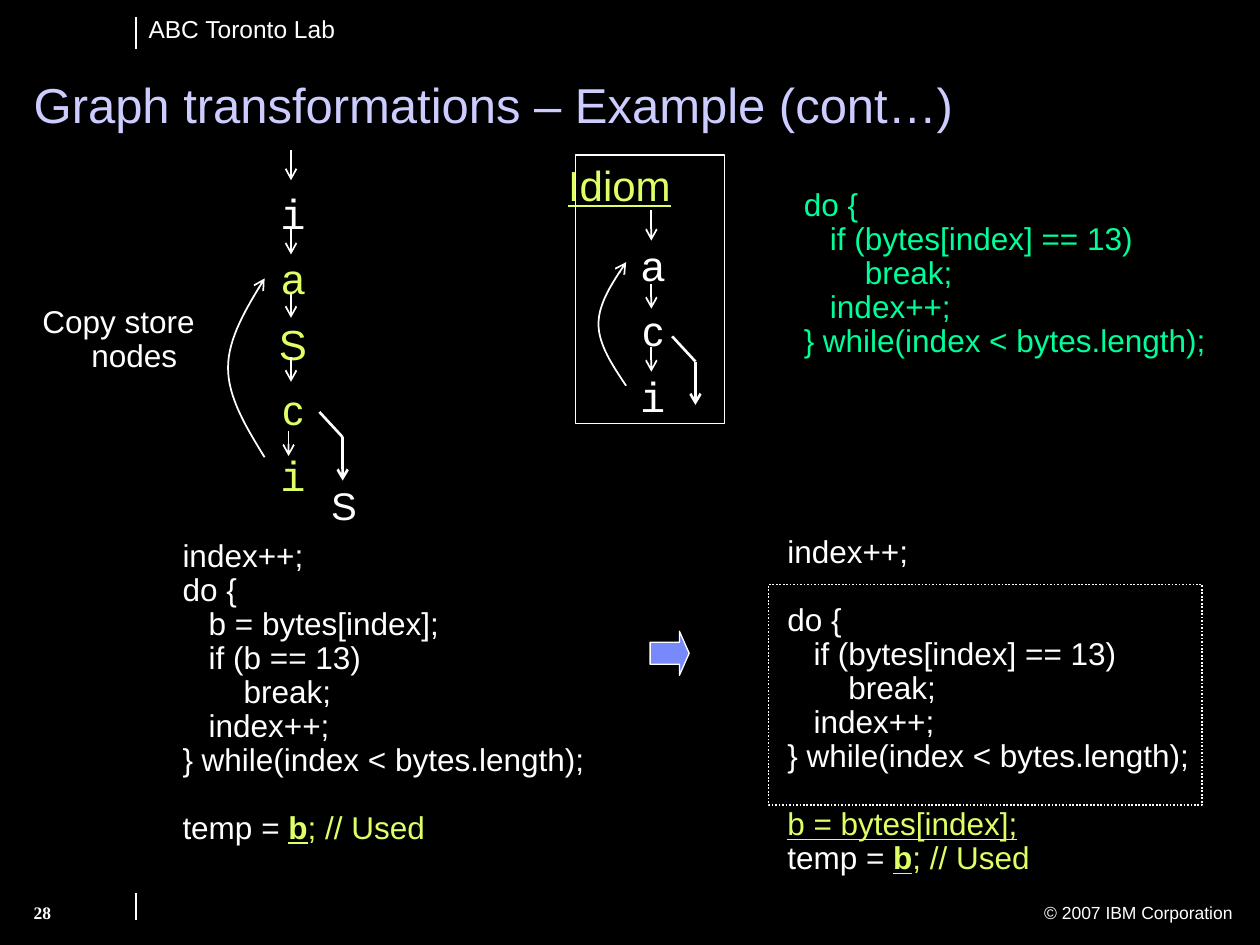
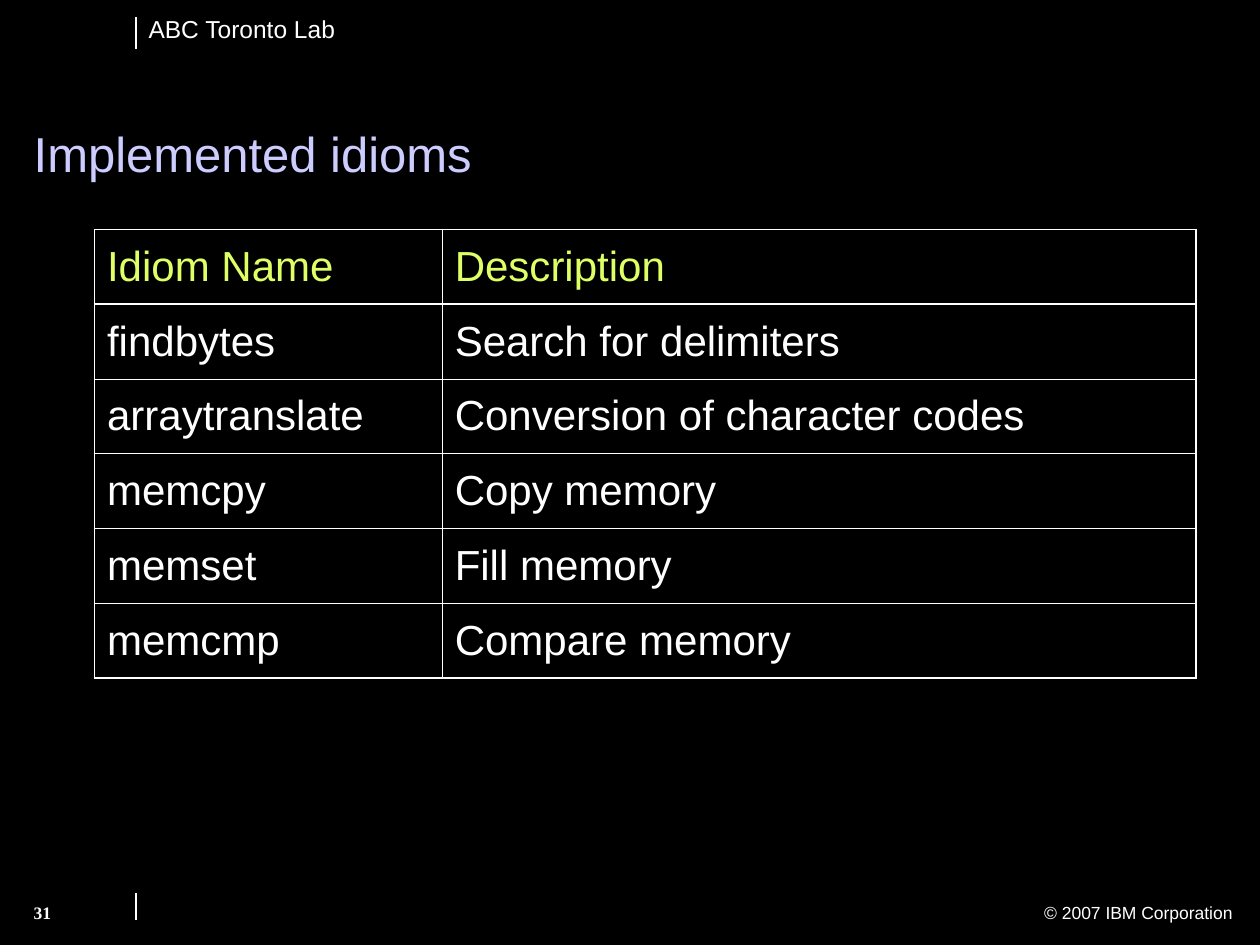
from pptx import Presentation as Deck
from pptx.dml.color import RGBColor as RGB
from pptx.enum.dml import MSO_LINE as Dash
from pptx.enum.shapes import MSO_CONNECTOR as Link, MSO_SHAPE as Form
from pptx.enum.text import MSO_ANCHOR as Anchor, PP_ALIGN as Align
from pptx.oxml import parse_xml as xml
from pptx.oxml.ns import nsdecls as ns
from pptx.util import Pt

BLACK = RGB(0x00, 0x00, 0x00)
WHITE = RGB(0xFF, 0xFF, 0xFF)
LILAC = RGB(0xCC, 0xCC, 0xFF)
LIME = RGB(0xDF, 0xFF, 0x66)
GREEN = RGB(0x00, 0xFF, 0x99)
BLUE = RGB(0x78, 0x89, 0xFB)

# Text formats
BASE = dict(name="Arial", size=Pt(18), color=WHITE)
HEAD = dict(size=Pt(28), color=LILAC)
NODE = dict(size=Pt(24))
HOT = dict(color=LIME)
MARK = dict(color=LIME, underline=True)
KEY = dict(MARK, bold=True)
MONO = dict(name="Courier New")
SMALL = dict(size=Pt(10))
PAGE = dict(SMALL, name="Times New Roman", bold=True)

CODE_GAP = 19.4  # height of one code line
THICK, THIN = 1.08, 0.45

# Code listings
LOOP = ["do {", "   if (bytes[index] == 13)", "       break;",
        "   index++;", "} while(index < bytes.length);"]
USED = [("temp = ", {}), ("b", KEY), ("; // Used", HOT)]
BEFORE = ["index++;", "do {", "   b = bytes[index];", "   if (b == 13)",
          *LOOP[2:], USED]
AFTER = ["index++;", *LOOP, [("b = bytes[index];", MARK)], USED]

IDIOMS = [("Idiom Name", "Description"),
          ("findbytes", "Search for delimiters"),
          ("arraytranslate", "Conversion of character codes"),
          ("memcpy", "Copy memory"),
          ("memset", "Fill memory"),
          ("memcmp", "Compare memory")]


class Board:
    """House style plus the slide being drawn."""

    def __init__(self):
        self.deck = Deck()
        self.deck.slide_width, self.deck.slide_height = Pt(720), Pt(540)

    def page(self, title, top, num):
        self.slide = self.deck.slides.add_slide(self.deck.slide_layouts[6])
        self.shapes = self.slide.shapes
        fill = self.slide.background.fill
        fill.solid()
        fill.fore_color.rgb = BLACK
        # Header and footer
        self.text((77.8, 4.3, 160, 24), ["ABC Toronto Lab"], dict(size=Pt(14)))
        self.text((450.7, 511.9, 260.6, 19.4), ["© 2007 IBM Corporation"],
                  SMALL, align=Align.RIGHT)
        self.text((12.2, 511.9, 79.2, 25.2), [num], PAGE)
        for start, end in ((10, 28), (510.5, 525.6)):
            self.line(77.8, start, 77.8, end)
        box = self.text((12.2, top, 691, 39.6), [title], HEAD, space=0.9)
        box.vertical_anchor = Anchor.BOTTOM

    def run(self, para, words, *looks):
        run = para.add_run()
        run.text = words
        form = dict(BASE)
        for look in looks:
            form.update(look)
        run.font.color.rgb = form.pop("color")
        for key, val in form.items():
            setattr(run.font, key, val)

    def text(self, box, lines, look, space=1.0, align=Align.LEFT,
             gaps=(), hang=0):
        frame = self.shapes.add_textbox(*map(Pt, box)).text_frame
        frame.word_wrap = True
        for num, line in enumerate(lines):
            para = frame.add_paragraph() if num else frame.paragraphs[0]
            if hang:
                props = para._p.get_or_add_pPr()
                props.set("marL", str(Pt(hang)))
                props.set("indent", str(-Pt(hang)))
            form = dict(alignment=align, line_spacing=space)
            if num in gaps:
                form["space_before"] = Pt(CODE_GAP)
            for key, val in form.items():
                setattr(para, key, val)
            for words, extra in [(line, {})] if isinstance(line, str) else line:
                self.run(para, words, look, extra)
        return frame

    def code(self, left, top, lines, gaps=(), look=BASE):
        self.text((left, top, 250.6, CODE_GAP * (len(lines) + len(gaps)) + 7.2),
                  lines, look, 0.9, gaps=gaps)

    def nodes(self, mid, top, lines):
        self.text((mid - 32.4, top, 64.8, 37.4 * len(lines) + 7.2), lines,
                  NODE, 1.3, Align.CENTER)

    def pen(self, shape, width, tip=False):
        shape.line.color.rgb = WHITE
        shape.line.width = Pt(width)
        if tip:
            shape.line._get_or_add_ln().append(
                xml(f'<a:tailEnd {ns("a")} type="arrow"/>'))

    def line(self, x1, y1, x2, y2, width=1, tip=False):
        link = self.shapes.add_connector(Link.STRAIGHT,
                                         *map(Pt, (x1, y1, x2, y2)))
        self.pen(link, width, tip)
        link._element.spPr.append(xml(f'<a:effectLst {ns("a")}/>'))

    def drop(self, x, y, size=14.4):
        self.line(x, y, x, y + size, tip=True)

    def exit(self, x, y):
        """Slanted line into a downward arrow that leaves the loop."""
        self.line(x, y, x - 13.3, y - 14.4, 1.5)
        self.line(x, y, x, y + 24.8, 1.5, True)

    def back(self, left, top, wide, high):
        """Loop edge: two mirrored Bezier halves, drawn from the bottom up."""
        def spot(t):
            x = (1 - t) ** 3 + 1.5 * t * (1 - t) ** 2
            return x * wide, t * high / 2
        half = [spot(n / 16) for n in range(17)]
        dots = [(left + x, top + high - y) for x, y in half]
        dots += [(left + x, top + y) for x, y in half[-2::-1]]
        dots = [(Pt(x), Pt(y)) for x, y in dots]
        path = self.shapes.build_freeform(*dots[0], scale=1.0)
        path.add_line_segments(dots[1:], close=False)
        curve = path.convert_to_shape()
        curve.shadow.inherit = False
        curve.fill.background()
        self.pen(curve, 1, True)

    def shape(self, form, box, width=0.75, fill=None, dash=None):
        item = self.shapes.add_shape(form, *map(Pt, box))
        item.shadow.inherit = False
        self.pen(item, width)
        if dash:
            item.line.dash_style = dash
        if fill:
            item.fill.solid()
            item.fill.fore_color.rgb = fill
        else:
            item.fill.background()
        return item

    def table(self, left, top, wide, high, rows):
        grid = self.shapes.add_table(len(rows), len(wide), Pt(left), Pt(top),
                                     Pt(sum(wide)), Pt(high * len(rows))).table
        grid.first_row = grid.horz_banding = False
        for col, size in zip(grid.columns, wide):
            col.width = Pt(size)
        for r, row in enumerate(rows):
            grid.rows[r].height = Pt(high)
            for c, words in enumerate(row):
                cell = grid.cell(r, c)
                self.edge(cell, L=c == 0, R=c == len(wide) - 1,
                          T=r < 2, B=r in (0, len(rows) - 1))
                cell.fill.background()
                cell.vertical_anchor = Anchor.MIDDLE
                self.run(cell.text_frame.paragraphs[0], words, NODE,
                         {} if r else HOT)

    def edge(self, cell, **sides):
        props = cell._tc.get_or_add_tcPr()
        for side, bold in sides.items():
            size = Pt(THICK if bold else THIN)
            props.append(xml(
                f'<a:ln{side} {ns("a")} w="{size}"><a:solidFill>'
                f'<a:srgbClr val="{WHITE}"/></a:solidFill></a:ln{side}>'))


def graph(board):
    board.page("Graph transformations – Example (cont…)", 40.3, "28")

    # Idiom graph
    board.text((317.5, 90.7, 108.7, 33.1), ["Idiom"], dict(NODE, **MARK), 0.9)
    board.shape(Form.RECTANGLE, (329, 88.6, 85, 153.4))
    board.nodes(373, 124.6, ["a", "c", [("i", MONO)]])
    board.back(342, 149.8, 15.8, 70.6)
    board.drop(372.2, 120.2, 17.3)
    for y in (162, 198):
        board.drop(372.2, y)
    board.exit(397.4, 206.6)

    # Program graph
    board.text((13, 171.4, 109.4, 46), ["Copy store nodes"], BASE, 0.9,
               Align.CENTER, hang=18)
    board.back(130.3, 159.1, 20.9, 102.2)
    board.exit(195.8, 249.8)
    board.nodes(167.4, 95, [[("i", MONO)], *([(name, HOT)] for name in "aSc"),
                            [("i", dict(MONO, **HOT))]])
    board.drop(166.3, 85.7, 17.3)
    for y in (131, 167.2, 203.8):
        board.drop(166.3, y)
    board.drop(164.9, 246.2)
    board.text((164.2, 275, 64.8, 31), ["S"], dict(size=Pt(22)), 0.9,
               Align.CENTER)

    # Code before and after
    board.code(97.2, 305.3, BEFORE, gaps=[7])
    arrow = board.shape(Form.RIGHT_ARROW, (371.5, 360.7, 22.3, 25.2), fill=BLUE)
    arrow.adjustments[0], arrow.adjustments[1] = 0.5, 0.25
    board.code(442.8, 303.1, AFTER, gaps=[1, 6])
    board.shape(Form.RECTANGLE, (439.2, 334, 247.7, 126), 1,
                dash=Dash.ROUND_DOT)
    board.code(452.2, 104.4, LOOP, look=dict(color=GREEN))


def main():
    board = Board()
    graph(board)
    board.page("Implemented idioms", 68.4, "31")
    board.table(54, 131.2, (198.7, 430.6), 42.7, IDIOMS)
    board.deck.save("out.pptx")


if __name__ == "__main__":
    main()
